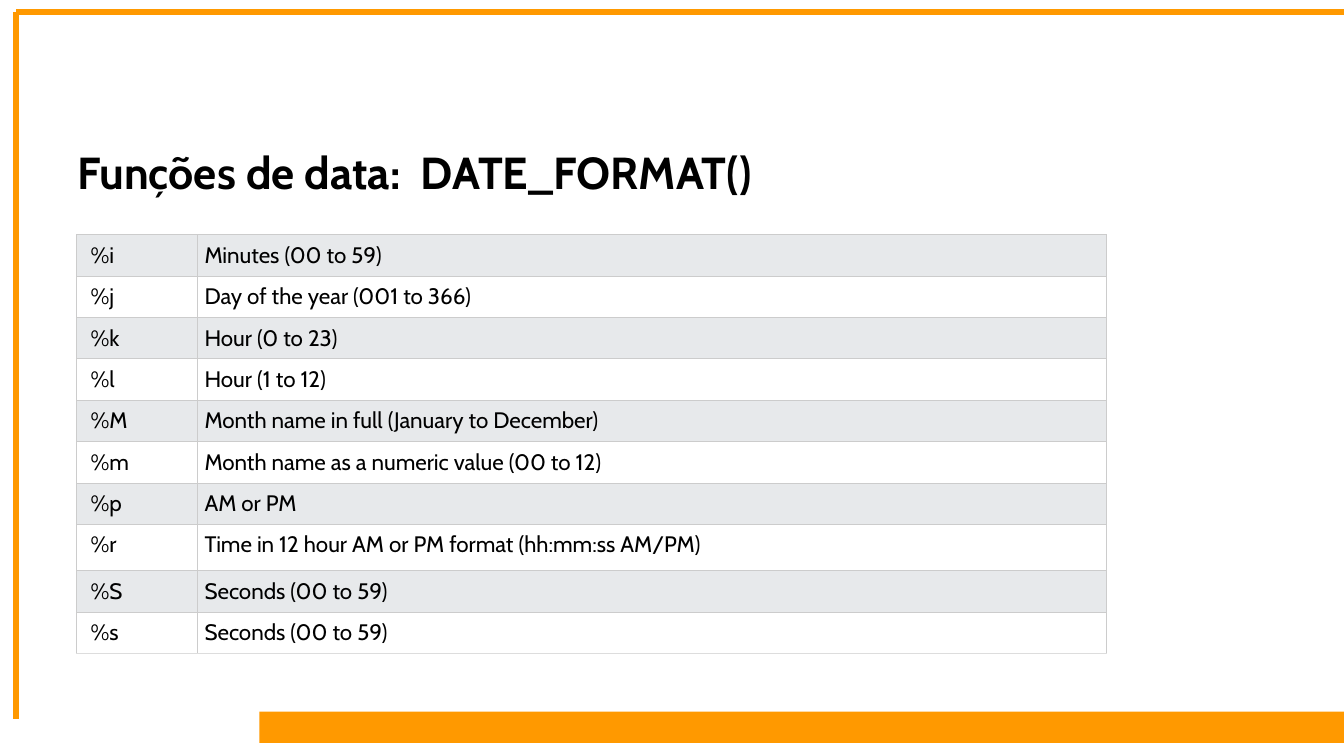
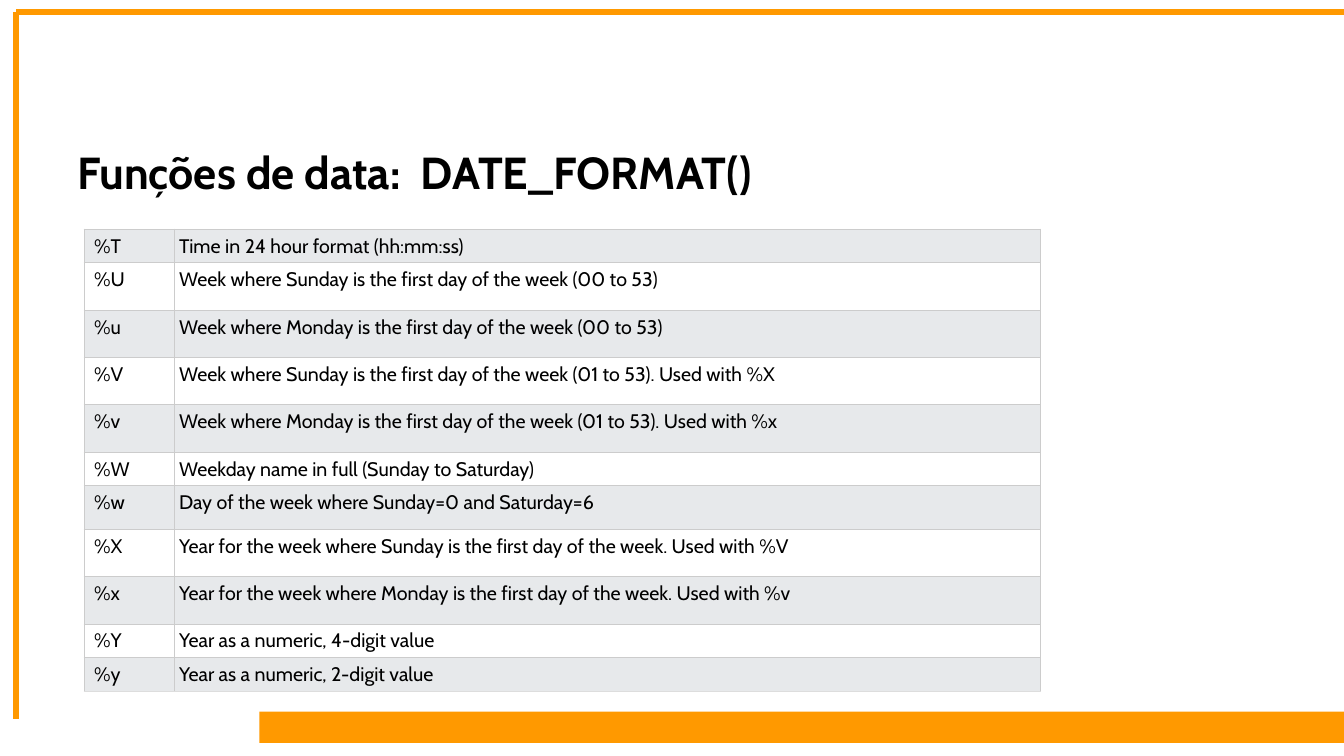
from dataclasses import dataclass

from lxml.etree import SubElement
from pptx import Presentation
from pptx.dml.color import RGBColor as Color
from pptx.enum.shapes import MSO_CONNECTOR as Connector, MSO_SHAPE as Preset
from pptx.enum.text import MSO_ANCHOR as Anchor
from pptx.oxml.ns import qn
from pptx.util import Inches, Pt


@dataclass(frozen=True)
class Theme:
    font: str = "Cabin"
    accent: str = "FF9900"
    text: str = "000000"
    stripes: tuple = ("E7E9EB", "FFFFFF")
    border: str = "CCCCCC"
    last_border: str = "DDDDDD"
    title_size: int = 32
    frame_width: float = 4.5
    border_width: float = 0.75


theme = Theme()
presentation = Presentation()
presentation.slide_width = Inches(13.33)
presentation.slide_height = Inches(7.5)


def across(percent):
    """Share of the slide's width."""
    return round(presentation.slide_width * percent / 100)


def down(percent):
    """Share of the slide's height."""
    return round(presentation.slide_height * percent / 100)


# Title runs: text and extra letter spacing in hundredths of a point
title_runs = [("Funções de data:", 0), (" ", 700), ("DATE_FORMAT()", 0)]

# Frame lines: begin x, begin y, end x, end y in percent
frame_lines = [(1.2, 1.6, 1.2, 95.07), (1.2, 1.6, 100, 1.6)]

# Row heights in percent of the slide's height
normal, roomy = 5.47, 6.13
short, medium, tall = 4.4, 5.73, 6.27

# Tables: place and columns in percent, text size and inset in points
tables = [
    {
        "left": 5.7, "top": 31.07, "columns": (9, 67.6),
        "size": 16, "inset": 5,
        "rows": [
            ("%i", "Minutes (00 to 59)", normal),
            ("%j", "Day of the year (001 to 366)", normal),
            ("%k", "Hour (0 to 23)", normal),
            ("%l", "Hour (1 to 12)", normal),
            ("%M", "Month name in full (January to December)", normal),
            ("%m", "Month name as a numeric value (00 to 12)", normal),
            ("%p", "AM or PM", normal),
            ("%r", "Time in 12 hour AM or PM format (hh:mm:ss AM/PM)", roomy),
            ("%S", "Seconds (00 to 59)", normal),
            ("%s", "Seconds (00 to 59)", normal),
        ],
    },
    {
        "left": 6.25, "top": 30.3, "columns": (6.7, 64.5),
        "size": 14, "inset": 3.6,
        "rows": [
            ("%T", "Time in 24 hour format (hh:mm:ss)", short),
            ("%U", "Week where Sunday is the first day of the week (00 to 53)", tall),
            ("%u", "Week where Monday is the first day of the week (00 to 53)", tall),
            ("%V", "Week where Sunday is the first day of the week (01 to 53). Used with %X", tall),
            ("%v", "Week where Monday is the first day of the week (01 to 53). Used with %x", tall),
            ("%W", "Weekday name in full (Sunday to Saturday)", short),
            ("%w", "Day of the week where Sunday=0 and Saturday=6", medium),
            ("%X", "Year for the week where Sunday is the first day of the week. Used with %V", tall),
            ("%x", "Year for the week where Monday is the first day of the week. Used with %v", tall),
            ("%Y", "Year as a numeric, 4-digit value", short),
            ("%y", "Year as a numeric, 2-digit value", short),
        ],
    },
]

for content in tables:
    slide = presentation.slides.add_slide(presentation.slide_layouts[6])

    # Bottom band
    band = slide.shapes.add_shape(
        Preset.RECTANGLE, across(19.3), down(94.13), across(80.7), down(4.13))
    band.shadow.inherit = False
    band.fill.solid()
    band.fill.fore_color.rgb = Color.from_string(theme.accent)
    band.line.fill.background()

    # Frame along the left and top edges
    for begin_x, begin_y, end_x, end_y in frame_lines:
        edge = slide.shapes.add_connector(
            Connector.STRAIGHT, across(begin_x), down(begin_y),
            across(end_x), down(end_y))
        edge.line.color.rgb = Color.from_string(theme.accent)
        edge.line.width = Pt(theme.frame_width)
        SubElement(edge._element.spPr, qn("a:effectLst"))

    # Title
    title = slide.shapes.add_textbox(
        across(5), down(14.4), across(90), down(16.67))
    title.text_frame.word_wrap = True
    title.text_frame.vertical_anchor = Anchor.MIDDLE
    paragraph = title.text_frame.paragraphs[0]
    for text, spacing in title_runs:
        run = paragraph.add_run()
        run.text = text
        run.font.name = theme.font
        run.font.size = Pt(theme.title_size)
        run.font.bold = True
        run.font.color.rgb = Color.from_string(theme.text)
        if spacing:
            run.font._element.set("spc", str(spacing))

    # Table of format codes
    rows, columns = content["rows"], content["columns"]
    table = slide.shapes.add_table(
        len(rows), len(columns), across(content["left"]), down(content["top"]),
        across(sum(columns)), down(sum(row[-1] for row in rows))).table
    table.first_row = table.horz_banding = False
    for column, width in zip(table.columns, columns):
        column.width = across(width)

    for row_index, (code, meaning, height) in enumerate(rows):
        table.rows[row_index].height = down(height)
        is_last = row_index == len(rows) - 1
        for column_index, text in enumerate((code, meaning)):
            cell = table.cell(row_index, column_index)
            inset = Pt(content["inset"])
            cell.margin_left = inset * 2 if column_index == 0 else inset
            cell.margin_right = cell.margin_top = cell.margin_bottom = inset

            # Borders come before the fill in the cell's XML
            properties = cell._tc.get_or_add_tcPr()
            for side in ("lnL", "lnR", "lnT", "lnB"):
                border = SubElement(properties, qn(f"a:{side}"),
                                    w=str(Pt(theme.border_width)))
                color = theme.last_border if is_last and side == "lnB" else theme.border
                SubElement(SubElement(border, qn("a:solidFill")),
                           qn("a:srgbClr"), val=color)
            cell.fill.solid()
            cell.fill.fore_color.rgb = Color.from_string(theme.stripes[row_index % 2])

            run = cell.text_frame.paragraphs[0].add_run()
            run.text = text
            run.font.name = theme.font
            run.font.size = Pt(content["size"])
            run.font.color.rgb = Color.from_string(theme.text)

presentation.save("out.pptx")
